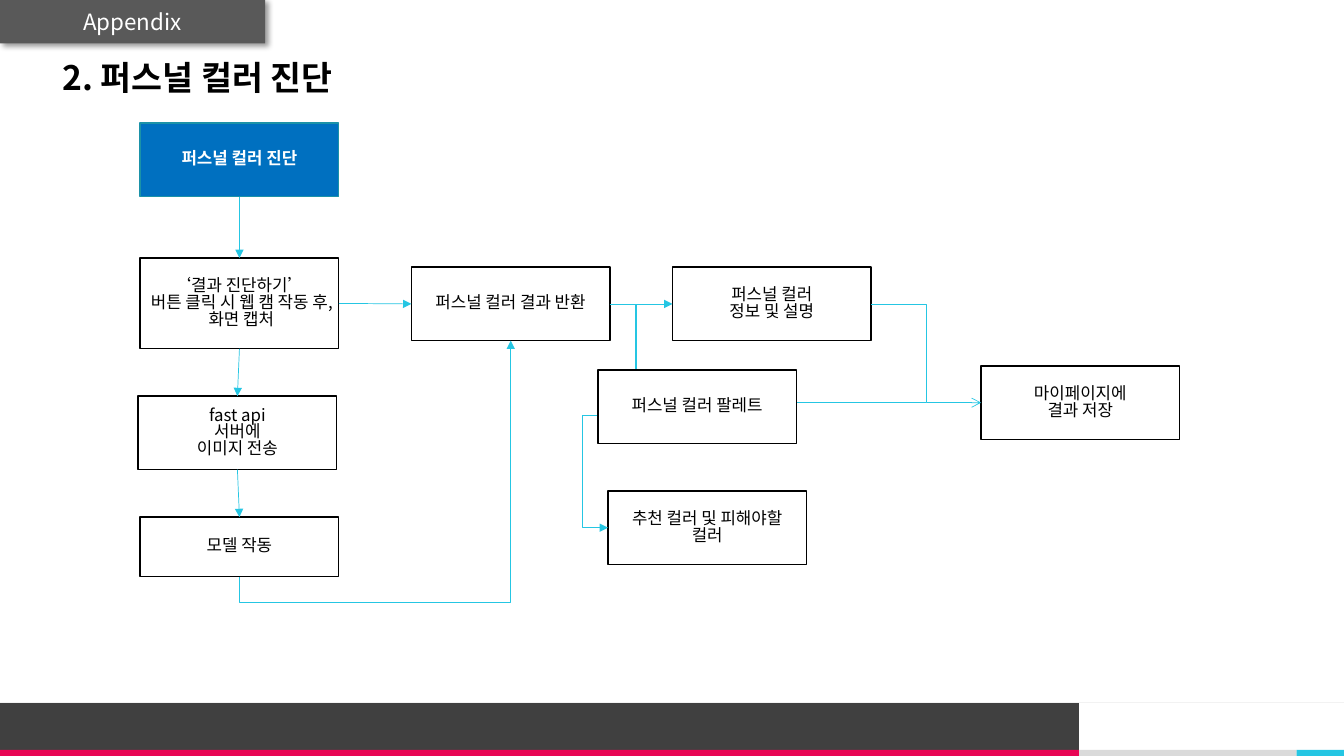
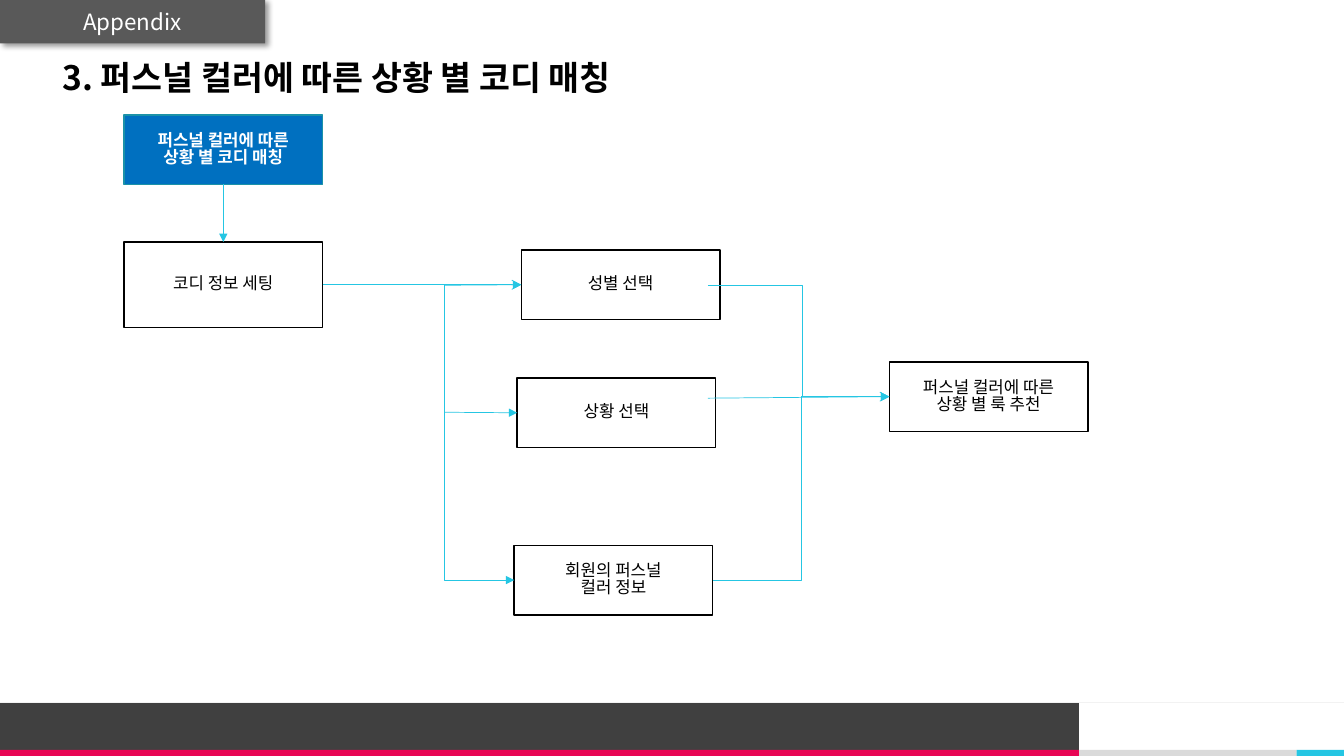
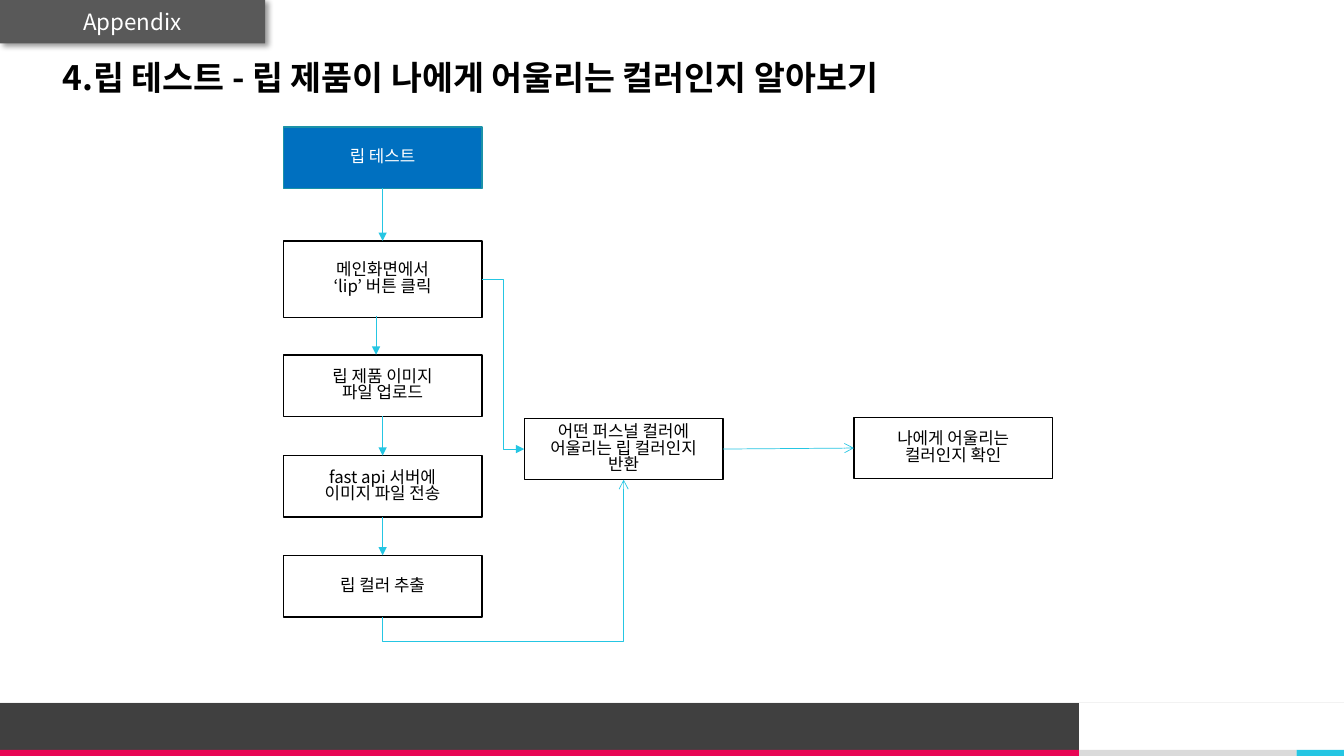
from lxml import etree
from pptx import Presentation
from pptx.dml.color import RGBColor
from pptx.enum.shapes import MSO_CONNECTOR, MSO_SHAPE
from pptx.enum.text import MSO_ANCHOR, PP_ALIGN
from pptx.oxml.ns import qn
from pptx.util import Inches, Pt

RECTANGLE = MSO_SHAPE.RECTANGLE
STRAIGHT = MSO_CONNECTOR.STRAIGHT
ELBOW = MSO_CONNECTOR.ELBOW
MIDDLE = MSO_ANCHOR.MIDDLE
CENTER, LEFT = PP_ALIGN.CENTER, PP_ALIGN.LEFT

FONT = "Noto Sans CJK KR"
BLACK = RGBColor(0x00, 0x00, 0x00)
WHITE = RGBColor(0xFF, 0xFF, 0xFF)
BLUE = RGBColor(0x00, 0x70, 0xC0)
TEAL = RGBColor(0x1B, 0x92, 0xA8)
CYAN = RGBColor(0x25, 0xC6, 0xE3)
PINK = RGBColor(0xE8, 0x05, 0x54)
CHARCOAL = RGBColor(0x40, 0x40, 0x40)
TAB_GRAY = RGBColor(0x59, 0x59, 0x59)
SILVER = RGBColor(0xDA, 0xDA, 0xDA)
PALE = RGBColor(0xF2, 0xF2, 0xF2)

SLIDE_W, SLIDE_H = 13.33, 7.5
STEP_W = 1.97
LINE_PITCH = 0.83
TOP, LEFT_SIDE, BOTTOM, RIGHT_SIDE = range(4)

BAND_TOP, STRIPE_TOP = 6.97, 7.44
BAND_END, ACCENT_START = 10.7, 12.86
FOOTER = [
    (BAND_END, STRIPE_TOP, ACCENT_START, SLIDE_H, SILVER),
    (0, BAND_TOP, BAND_END, STRIPE_TOP, CHARCOAL),
    (0, STRIPE_TOP, BAND_END, SLIDE_H, PINK),
    (ACCENT_START, STRIPE_TOP, SLIDE_W, SLIDE_H, CYAN),
]

# steps: key -> (left, top, height, text); bends: preset, rotation, flips, adjustments
FLOWS = [
    {
        "title": "2. 퍼스널 컬러 진단",
        "bold_start": True,
        "steps": {
            "start": (1.39, 1.22, 0.73, "퍼스널 컬러 진단"),
            "capture": (1.39, 2.56, 0.9, "‘결과 진단하기’\n버튼 클릭 시 웹 캠 작동 후, 화면 캡처"),
            "result": (4.08, 2.65, 0.73, "퍼스널 컬러 결과 반환"),
            "save": (9.73, 3.63, 0.73, "마이페이지에\n결과 저장"),
            "info": (6.67, 2.65, 0.73, "퍼스널 컬러\n정보 및 설명"),
            "advice": (6.03, 4.87, 0.73, "추천 컬러 및 피해야할 컬러"),
            "model": (1.39, 5.13, 0.59, "모델 작동"),
            "server": (1.37, 3.93, 0.73, "fast api\n서버에\n이미지 전송"),
        },
        "arrows": [
            (("start", BOTTOM), ("capture", TOP), "triangle"),
            (("capture", RIGHT_SIDE), ("result", LEFT_SIDE), "triangle"),
            (("result", RIGHT_SIDE), ("info", LEFT_SIDE), "triangle"),
            (("capture", BOTTOM), ("server", TOP), "triangle"),
            (("server", BOTTOM), ("model", TOP), "triangle"),
            ((9.18, 3.99), (7.53, 3.99), None),
        ],
        "bends": [
            (("result", RIGHT_SIDE), (6.03, 4.08), "triangle",
             "bentConnector4", 0, "H", [-12.5, 0.67]),
            (("result", RIGHT_SIDE), ("advice", LEFT_SIDE), "triangle",
             "bentConnector5", 0, "H", [-13, 0.5, 13.5]),
            (("info", RIGHT_SIDE), ("save", LEFT_SIDE), "arrow",
             "bentConnector3", 0, "", [0.5]),
            (("model", BOTTOM), ("result", BOTTOM), "triangle",
             "bentConnector3", 90, "HV", [-0.11]),
        ],
        "front_steps": {
            "palette": (5.93, 3.67, 0.73, "퍼스널 컬러 팔레트"),
        },
    },
    {
        "title": "3. 퍼스널 컬러에 따른 상황 별 코디 매칭",
        "bold_start": True,
        "steps": {
            "start": (1.23, 1.14, 0.69, "퍼스널 컬러에 따른\n상황 별 코디 매칭"),
            "setting": (1.23, 2.4, 0.85, "코디 정보 세팅"),
            "member": (5.1, 5.41, 0.69, "회원의 퍼스널\n컬러 정보"),
            "look": (8.82, 3.59, 0.69, "퍼스널 컬러에 따른\n상황 별 룩 추천"),
            "gender": (5.17, 2.48, 0.69, "성별 선택"),
            "occasion": (5.13, 3.75, 0.69, "상황 선택"),
        },
        "arrows": [
            (("start", BOTTOM), ("setting", TOP), "triangle"),
            ((4.41, 2.83), ("gender", LEFT_SIDE), "triangle"),
            ((7.02, 3.95), ("look", LEFT_SIDE), "triangle"),
            (("setting", RIGHT_SIDE), ("gender", LEFT_SIDE), "arrow"),
            ((4.41, 4.09), ("occasion", LEFT_SIDE), "triangle"),
        ],
        "bends": [
            ((4.41, 2.83), ("member", LEFT_SIDE), "triangle",
             "bentConnector2", 270, "H", []),
            ((7.02, 2.83), ("look", LEFT_SIDE), "triangle",
             "bentConnector3", 0, "", [0.52]),
            (("member", RIGHT_SIDE), ("look", LEFT_SIDE), "arrow",
             "bentConnector3", 0, "V", [0.5]),
        ],
        "front_steps": {},
    },
    {
        "title": "4.립 테스트 - 립 제품이 나에게 어울리는 컬러인지 알아보기",
        "bold_start": False,
        "steps": {
            "start": (2.81, 1.26, 0.61, "립 테스트"),
            "click": (2.81, 2.39, 0.76, "메인화면에서\n‘lip’ 버튼 클릭"),
            "result": (5.2, 4.15, 0.61, "어떤 퍼스널 컬러에 어울리는 립 컬러인지 반환"),
            "upload": (2.81, 3.52, 0.61, "립 제품 이미지\n파일 업로드"),
            "check": (8.47, 4.14, 0.61, "나에게 어울리는\n컬러인지 확인"),
            "server": (2.81, 4.52, 0.61, "fast api 서버에\n이미지 파일 전송"),
            "extract": (2.81, 5.51, 0.61, "립 컬러 추출"),
        },
        "arrows": [
            (("start", BOTTOM), ("click", TOP), "triangle"),
            ((3.73, 3.14), (3.73, 3.52), "triangle"),
            (("upload", BOTTOM), ("server", TOP), "triangle"),
            (("server", BOTTOM), ("extract", TOP), "triangle"),
            (("result", RIGHT_SIDE), ("check", LEFT_SIDE), "arrow"),
        ],
        "bends": [
            (("click", RIGHT_SIDE), ("result", LEFT_SIDE), "triangle",
             "bentConnector3", 0, "", [0.5]),
            (("extract", BOTTOM), ("result", BOTTOM), "arrow",
             "bentConnector3", 90, "HV", [-0.18]),
        ],
        "front_steps": {},
    },
]


def write(shape, text, size, color, bold=False, align=CENTER, pitch=LINE_PITCH):
    frame = shape.text_frame
    frame.text = text
    frame.word_wrap = True
    frame.vertical_anchor = MIDDLE
    for paragraph in frame.paragraphs:
        paragraph.alignment = align
        paragraph.line_spacing = pitch
        for run in paragraph.runs:
            run.font.name = FONT
            run.font.size = Pt(size)
            run.font.bold = bold
            run.font.color.rgb = color
            latin = run.font._element.find(qn("a:latin"))
            east_asian = etree.Element(qn("a:ea"), typeface=FONT)
            latin.addnext(east_asian)


def add_block(slide, left, top, width, height, fill, outline=None):
    block = slide.shapes.add_shape(
        RECTANGLE, Inches(left), Inches(top), Inches(width), Inches(height))
    block.shadow.inherit = False
    block.fill.solid()
    block.fill.fore_color.rgb = fill
    if outline is None:
        block.line.fill.background()
    else:
        block.line.color.rgb = outline
        block.line.width = Pt(1)
    return block


def add_line(slide, kind, start, end, color, head=None):
    line = slide.shapes.add_connector(
        kind, *(Inches(value) for value in (*start, *end)))
    line.line.color.rgb = color
    line.line.width = Pt(0.5)
    properties = line.element.spPr
    if head:
        etree.SubElement(properties.find(qn("a:ln")), qn("a:tailEnd"), type=head)
    etree.SubElement(properties, qn("a:effectLst"))
    return line


def locate(end, steps):
    if end[0] not in steps:
        return end
    key, side = end
    left, top, height, _ = steps[key]
    share_x, share_y = [(0.5, 0), (0, 0.5), (0.5, 1), (1, 0.5)][side]
    return left + STEP_W * share_x, top + height * share_y


def add_arrow(slide, steps, blocks, start, end, head):
    arrow = add_line(slide, STRAIGHT, locate(start, steps), locate(end, steps), CYAN, head)
    if start[0] in blocks:
        arrow.begin_connect(blocks[start[0]], start[1])
    if end[0] in blocks:
        arrow.end_connect(blocks[end[0]], end[1])


def add_bend(slide, steps, start, end, head, preset, rotation, flips, adjustments):
    (x1, y1), (x2, y2) = locate(start, steps), locate(end, steps)
    width, height = abs(x2 - x1), abs(y2 - y1)
    if rotation:
        width, height = height, width
    left, top = (x1 + x2 - width) / 2, (y1 + y2 - height) / 2
    bend = add_line(slide, ELBOW, (left, top), (left + width, top + height), CYAN, head)
    frame = bend.element.spPr.find(qn("a:xfrm"))
    if rotation:
        frame.set("rot", str(rotation * 60000))
    for axis in flips:
        frame.set("flip" + axis, "1")
    geometry = bend.element.spPr.find(qn("a:prstGeom"))
    geometry.set("prst", preset)
    guides = geometry.find(qn("a:avLst"))
    if guides is None:
        guides = etree.SubElement(geometry, qn("a:avLst"))
    for number, share in enumerate(adjustments, 1):
        etree.SubElement(guides, qn("a:gd"), name=f"adj{number}",
                         fmla=f"val {round(share * 100000)}")


def add_step(slide, key, left, top, height, text, bold_start):
    first = key == "start"
    block = add_block(slide, left, top, STEP_W, height,
                      BLUE if first else WHITE, TEAL if first else BLACK)
    write(block, text, 12, WHITE if first else BLACK, first and bold_start)
    return block


def add_section_tab(slide):
    tab = add_block(slide, 0, -0.01, 2.63, 0.44, TAB_GRAY)
    write(tab, "Appendix", 16, WHITE, pitch=1)
    effects = tab.element.spPr.find(qn("a:effectLst"))
    shadow = etree.SubElement(effects, qn("a:outerShdw"), blurRad=str(Pt(4)),
                              dist=str(Pt(3)), dir=str(45 * 60000),
                              algn="tl", rotWithShape="0")
    tint = etree.SubElement(shadow, qn("a:srgbClr"), val=str(BLACK))
    etree.SubElement(tint, qn("a:alpha"), val="40000")


def move_footer_to_layout(slide, layout):
    parts = [add_block(slide, left, top, right - left, bottom - top, fill)
             for left, top, right, bottom, fill in FOOTER]
    parts.append(add_line(slide, STRAIGHT, (SLIDE_W, BAND_TOP), (0, BAND_TOP), PALE))
    for part in parts:
        layout.shapes.element.append(part.element)


def build_flow(slide, flow):
    title = slide.shapes.title
    title.left, title.top = Inches(0.52), Inches(0.6)
    title.width, title.height = Inches(9.84), Inches(0.33)
    write(title, flow["title"], 24, BLACK, True, LEFT, 1)

    steps, bold_start = flow["steps"], flow["bold_start"]
    blocks = {key: add_step(slide, key, *step, bold_start)
              for key, step in steps.items()}
    for arrow in flow["arrows"]:
        add_arrow(slide, steps, blocks, *arrow)
    for bend in flow["bends"]:
        add_bend(slide, steps, *bend)
    for key, step in flow["front_steps"].items():
        add_step(slide, key, *step, bold_start)
    add_section_tab(slide)


def main():
    deck = Presentation()
    deck.slide_width, deck.slide_height = Inches(SLIDE_W), Inches(SLIDE_H)
    title_only = deck.slide_layouts[5]
    for position, flow in enumerate(FLOWS):
        slide = deck.slides.add_slide(title_only)
        if position == 0:
            move_footer_to_layout(slide, title_only)
        build_flow(slide, flow)
    deck.save("out.pptx")


if __name__ == "__main__":
    main()
